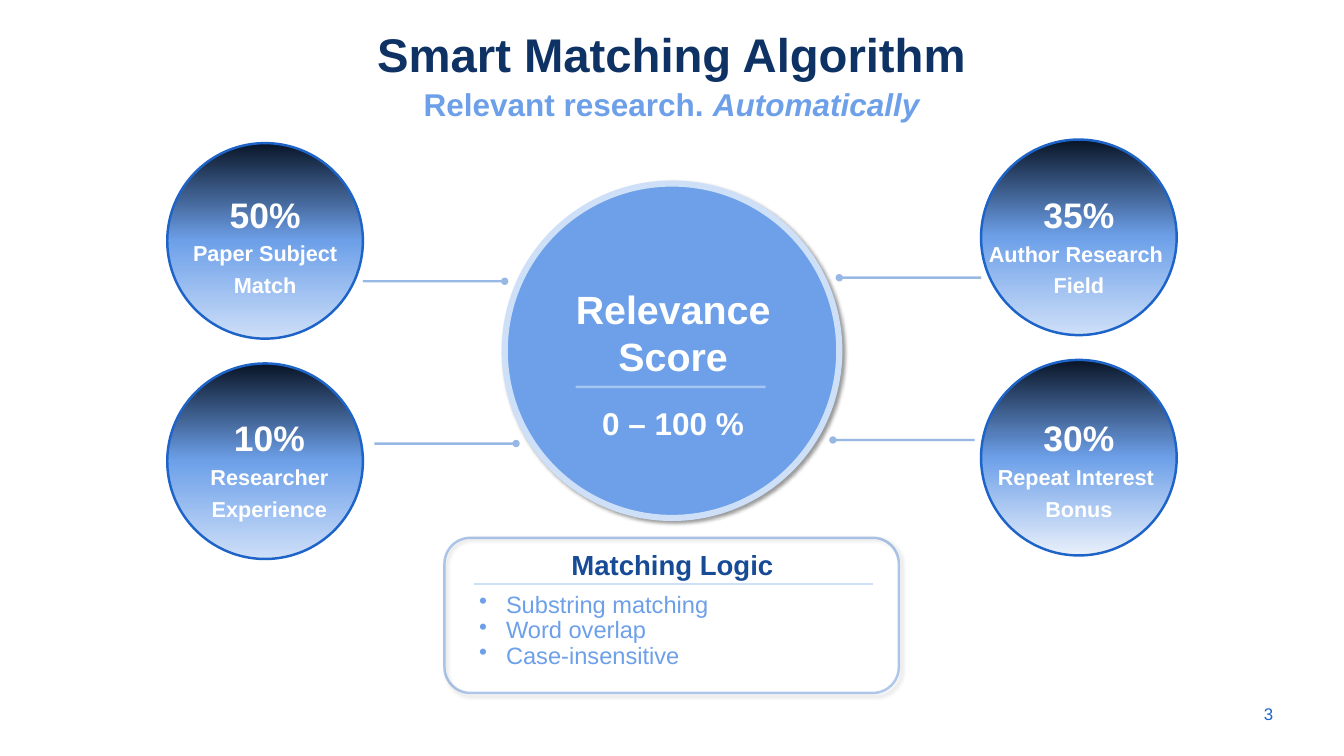
from dataclasses import dataclass
from copy import deepcopy

from lxml import etree
from pptx import Presentation
from pptx.dml.color import RGBColor
from pptx.enum.shapes import MSO_CONNECTOR, MSO_SHAPE
from pptx.enum.text import MSO_ANCHOR, MSO_AUTO_SIZE, PP_ALIGN
from pptx.oxml.ns import qn
from pptx.util import Emu, Pt

OVAL, ROUND = MSO_SHAPE.OVAL, MSO_SHAPE.ROUNDED_RECTANGLE
STRAIGHT = MSO_CONNECTOR.STRAIGHT
LEFT, CENTER, RIGHT = PP_ALIGN.LEFT, PP_ALIGN.CENTER, PP_ALIGN.RIGHT
TOP, MIDDLE = MSO_ANCHOR.TOP, MSO_ANCHOR.MIDDLE
GROW = MSO_AUTO_SIZE.SHAPE_TO_FIT_TEXT
PX = 9144  # 100 px to the inch


@dataclass(frozen=True)
class Theme:
    font: str = "Arial"
    navy: str = "0F3264"
    night: str = "091527"
    deep: str = "174B96"
    blue: str = "1E64C8"
    sky: str = "6DA0E9"
    pale: str = "CEDFF8"
    mist: str = "E9F0FA"
    white: str = "FFFFFF"
    title: float = 48
    score: float = 40
    share: float = 36
    lead: float = 32
    head: float = 28
    body: float = 24
    label: float = 22
    page: float = 17.1
    thin: float = 2.5
    ring: float = 6.25


@dataclass(frozen=True)
class Line:
    text: str
    size: float
    color: str
    bold: bool = True
    slant: str = ""  # closing words in italics
    align: int = CENTER
    lead: float = 1.0
    before: float = 0
    after: float = 0
    bullet: bool = False


class Deck:
    def __init__(self, theme, wide, high):
        self.theme = theme
        self.file = Presentation()
        self.file.slide_width, self.file.slide_height = Emu(wide * PX), Emu(high * PX)
        self.slide = self.file.slides.add_slide(self.file.slide_layouts[6])

    def stroke(self, item, color, width, alpha):
        item.line.color.rgb = RGBColor.from_string(color)
        item.line.width = Pt(width)
        if alpha < 100:
            tone = item.line._get_or_add_ln().find(".//" + qn("a:srgbClr"))
            etree.SubElement(tone, qn("a:alpha"), val=str(alpha * 1000))

    def shape(self, kind, box, color, width, fill=(), alpha=100, shadow=False):
        item = self.slide.shapes.add_shape(kind, *(Emu(v * PX) for v in box))
        if not fill:
            item.fill.background()
        elif len(fill) == 1:
            item.fill.solid()
            item.fill.fore_color.rgb = RGBColor.from_string(fill[0])
        else:
            self.blend(item, fill)
        self.stroke(item, color, width, alpha)
        item.shadow.inherit = False
        if shadow:
            self.shade(item)

    def blend(self, item, colors):
        item.fill.gradient()
        item.fill.gradient_angle = 270
        stops = item._element.spPr.find(".//" + qn("a:gsLst"))
        while len(stops) < len(colors):
            stops.append(deepcopy(stops[0]))
        for i, stop in enumerate(item.fill.gradient_stops):
            stop.position = i / (len(colors) - 1)
            stop.color.rgb = RGBColor.from_string(colors[i])

    def shade(self, item):
        effects = item._element.spPr.find(qn("a:effectLst"))
        outer = etree.SubElement(
            effects, qn("a:outerShdw"), blurRad=str(Pt(4)), dist=str(Pt(3)),
            dir=str(45 * 60000), algn="tl", rotWithShape="0")
        tone = etree.SubElement(outer, qn("a:srgbClr"), val="000000")
        etree.SubElement(tone, qn("a:alpha"), val="40000")

    def line(self, start, end, color, alpha=100, dot=""):
        item = self.slide.shapes.add_connector(
            STRAIGHT, *(Emu(v * PX) for v in (*start, *end)))
        self.stroke(item, color, self.theme.thin, alpha)
        if dot:
            etree.SubElement(item.line._get_or_add_ln(), qn("a:" + dot), type="oval")
        etree.SubElement(item._element.spPr, qn("a:effectLst"))

    def text(self, box, lines, anchor=TOP, grow=True):
        frame = self.slide.shapes.add_textbox(*(Emu(v * PX) for v in box)).text_frame
        frame.text = "\n".join(line.text for line in lines)
        frame.word_wrap = True
        frame.vertical_anchor = anchor
        if grow:
            frame.auto_size = GROW
        for para, line in zip(frame.paragraphs, lines):
            para.alignment = line.align
            para.line_spacing = line.lead
            para.space_before, para.space_after = Pt(line.before), Pt(line.after)
            if line.slant:
                run = para.add_run()
                run.text = line.slant
                run.font.italic = True
            if line.bullet:
                props = para._p.get_or_add_pPr()
                props.set("marL", str(38 * PX))
                props.set("indent", str(-38 * PX))
                etree.SubElement(props, qn("a:buChar"), char="•")
            for run in para.runs:
                run.font.name = self.theme.font
                run.font.size = Pt(line.size)
                run.font.bold = line.bold
                run.font.color.rgb = RGBColor.from_string(line.color)


def main():
    t = Theme()
    deck = Deck(t, 1896, 1067)

    # Page number and heading
    deck.text((1705, 979, 101, 57), [Line("3", t.page, t.blue, False, align=RIGHT)],
              MIDDLE, False)
    deck.text((90, 31, 1715, 153), [
        Line("Smart Matching Algorithm", t.title, t.navy),
        Line("Relevant research. ", t.lead, t.sky, slant="Automatically", before=3)])

    # Hub disc
    deck.shape(OVAL, (712, 259, 472, 472), t.pale, t.ring, (t.sky,), shadow=True)

    # Matching logic panel
    rules = ("Substring matching", "Word overlap", "Case-insensitive")
    deck.text((666, 759, 565, 193), [
        Line("Matching Logic", t.head, t.deep, lead=1.2, after=12),
        *(Line(rule, t.body, t.sky, False, align=LEFT, lead=0.9, bullet=True)
          for rule in rules)])
    deck.line((668, 824), (1231, 824), t.pale)
    deck.shape(ROUND, (627, 759, 641, 219), t.blue, t.thin, alpha=35, shadow=True)

    # Hub wording
    deck.text((764, 397, 371, 229), [
        Line("Relevance Score", t.score, t.white),
        Line("0 – 100 %", t.lead, t.white, lead=1.2, before=18)])
    deck.line((812, 546), (1080, 546), t.pale, 58)

    # Factor discs: disc corner, caption corner, last tint, wording
    factors = (
        ((236, 202), (198, 255), t.pale, ("50%", "Paper Subject", "Match")),
        ((236, 513), (204, 571), t.pale, ("10%", "Researcher", "Experience")),
        ((1384, 197), (1346, 256), t.pale, ("35%", "Author Research ", "Field")),
        ((1384, 508), (1346, 571), t.mist, ("30%", "Repeat Interest ", "Bonus")),
    )
    for disc, note, tint, words in factors:
        deck.shape(OVAL, (*disc, 276, 276), t.blue, t.thin, (t.night, t.sky, tint))
        sizes = (t.share, t.label, t.label)
        deck.text((*note, 352, 168), [
            Line(word, size, t.white, lead=1.2) for word, size in zip(words, sizes)])

    # Links, each dotted at the hub end
    links = ((512, 397, "tailEnd"), (528, 626, "tailEnd"),
             (1184, 392, "headEnd"), (1175, 621, "headEnd"))
    for x, y, dot in links:
        deck.line((x, y), (x + 200, y), t.blue, 46, dot)

    deck.file.save("out.pptx")


if __name__ == "__main__":
    main()
